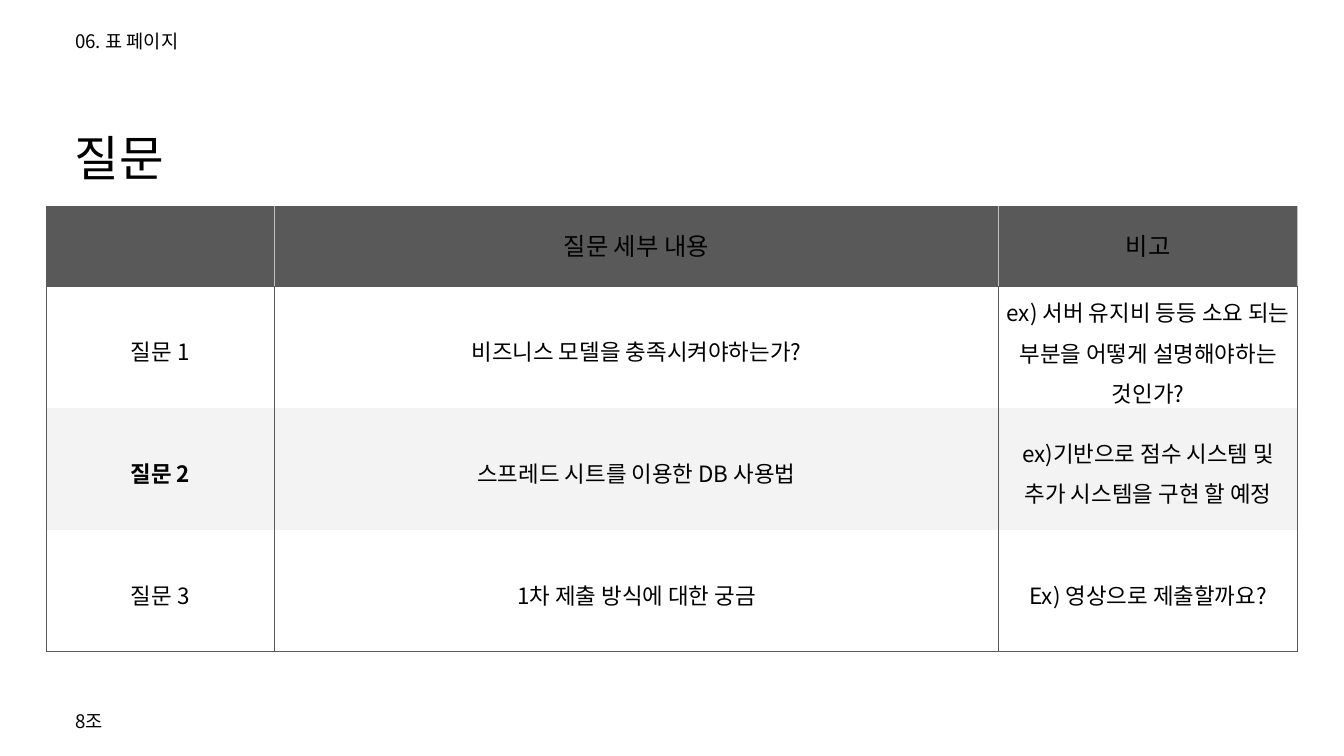
from dataclasses import dataclass

from lxml import etree
from pptx import Presentation
from pptx.dml.color import RGBColor
from pptx.enum.text import MSO_ANCHOR, PP_ALIGN
from pptx.oxml.ns import qn
from pptx.util import Inches, Pt

MIDDLE = MSO_ANCHOR.MIDDLE
LEFT = PP_ALIGN.LEFT
CENTER = PP_ALIGN.CENTER
PLAIN_TABLE_STYLE = "{2D5ABB26-0587-4C30-8999-92F81FD0307C}"


@dataclass(frozen=True)
class Theme:
    font: str = "Noto Sans CJK KR"
    text: str = "000000"
    header: str = "595959"
    divider: str = "C2C2C2"
    row: str = "FFFFFF"
    highlight: str = "F3F3F3"
    title_size: int = 52
    header_size: int = 26
    body_size: int = 24
    label_size: int = 20
    border: float = 0.5
    cell_margin: float = 0.02


class SlideBuilder:
    def __init__(self, presentation, theme):
        self.theme = theme
        self.width = presentation.slide_width
        self.height = presentation.slide_height
        self.slide = presentation.slides.add_slide(presentation.slide_layouts[6])

    def across(self, percent):
        return round(self.width * percent / 100)

    def down(self, percent):
        return round(self.height * percent / 100)

    def place(self, left, top, width, height):
        return self.across(left), self.down(top), self.across(width), self.down(height)

    def fill_text(self, text_frame, text, size, spacing, align=LEFT, bold=False):
        text_frame.text = text
        text_frame.word_wrap = True
        paragraph = text_frame.paragraphs[0]
        paragraph.alignment = align
        paragraph.line_spacing = spacing
        for run in paragraph.runs:
            run.font.size = Pt(size)
            run.font.bold = bold
            run.font.name = self.theme.font
            run.font.color.rgb = RGBColor.from_string(self.theme.text)
            east_asian = etree.SubElement(run.font._element, qn("a:ea"))
            east_asian.set("typeface", self.theme.font)

    def text(self, text, area, size, spacing=1.0):
        text_frame = self.slide.shapes.add_textbox(*self.place(*area)).text_frame
        text_frame.margin_left = text_frame.margin_right = 0
        text_frame.margin_top = text_frame.margin_bottom = 0
        text_frame.vertical_anchor = MIDDLE
        self.fill_text(text_frame, text, size, spacing)

    def borders(self, cell, sides):
        properties = cell._tc.get_or_add_tcPr()
        for index, side in enumerate("LRTB"):
            line = etree.Element(qn(f"a:ln{side}"), w=str(Pt(self.theme.border)))
            if side in sides:
                fill = etree.SubElement(line, qn("a:solidFill"))
                etree.SubElement(fill, qn("a:srgbClr"), val=sides[side])
            else:
                etree.SubElement(line, qn("a:noFill"))
            properties.insert(index, line)

    def cell(self, cell, text, fill, size, spacing, bold):
        cell.fill.solid()
        cell.fill.fore_color.rgb = RGBColor.from_string(fill)
        cell.margin_left = cell.margin_right = Inches(self.theme.cell_margin)
        cell.margin_top = cell.margin_bottom = Inches(self.theme.cell_margin)
        cell.vertical_anchor = MIDDLE
        self.fill_text(cell.text_frame, text, size, spacing, CENTER, bold)

    def table(self, rows, left, top, widths, heights, highlighted):
        theme = self.theme
        area = self.place(left, top, sum(widths), sum(heights))
        frame = self.slide.shapes.add_table(len(rows), len(widths), *area)
        table = frame.table
        table.first_row = table.horz_banding = False
        table._tbl.tblPr.find(qn("a:tableStyleId")).text = PLAIN_TABLE_STYLE
        for column, width in zip(table.columns, widths):
            column.width = self.across(width)
        for row, height in zip(table.rows, heights):
            row.height = self.down(height)
        for row_index, values in enumerate(rows):
            for column_index, value in enumerate(values):
                cell = table.cell(row_index, column_index)
                sides = dict.fromkeys("LR", theme.header)
                if row_index == 0:
                    sides = dict.fromkeys("LRTB", theme.header)
                    sides["R"] = theme.divider
                    if column_index > 0:
                        sides["L"] = theme.divider
                    self.cell(cell, value, theme.header, theme.header_size, 0.92, False)
                else:
                    marked = row_index == highlighted
                    fill = theme.highlight if marked else theme.row
                    bold = marked and column_index == 0
                    self.cell(cell, value, fill, theme.body_size, 1.25, bold)
                if row_index == 1:
                    sides["T"] = theme.header
                if row_index == len(rows) - 1:
                    sides["B"] = theme.header
                self.borders(cell, sides)


def main():
    presentation = Presentation()
    presentation.slide_width = Inches(20)
    presentation.slide_height = Inches(11.25)
    theme = Theme()
    builder = SlideBuilder(presentation, theme)

    questions = [
        ("", "질문 세부 내용", "비고"),
        ("질문 1", "비즈니스 모델을 충족시켜야하는가?",
         "ex) 서버 유지비 등등 소요 되는 부분을 어떻게 설명해야하는 것인가?"),
        ("질문 2", "스프레드 시트를 이용한 DB 사용법",
         "ex)기반으로 점수 시스템 및 추가 시스템을 구현 할 예정"),
        ("질문 3", "1차 제출 방식에 대한 궁금", "Ex) 영상으로 제출할까요?"),
    ]
    builder.text("질문", (5.55, 16.09, 61.2, 9.16), theme.title_size, 1.02)
    builder.table(questions, left=3.45, top=27.29, widths=[16.95, 53.9, 22.25],
                  heights=[10.58] + [16.09] * 3, highlighted=2)
    builder.text("06. 표 페이지", (5.6, 3.73, 34.85, 3.47), theme.label_size)
    builder.text("8조", (5.6, 93.6, 12.1, 3.47), theme.label_size)

    presentation.save("out.pptx")


if __name__ == "__main__":
    main()
